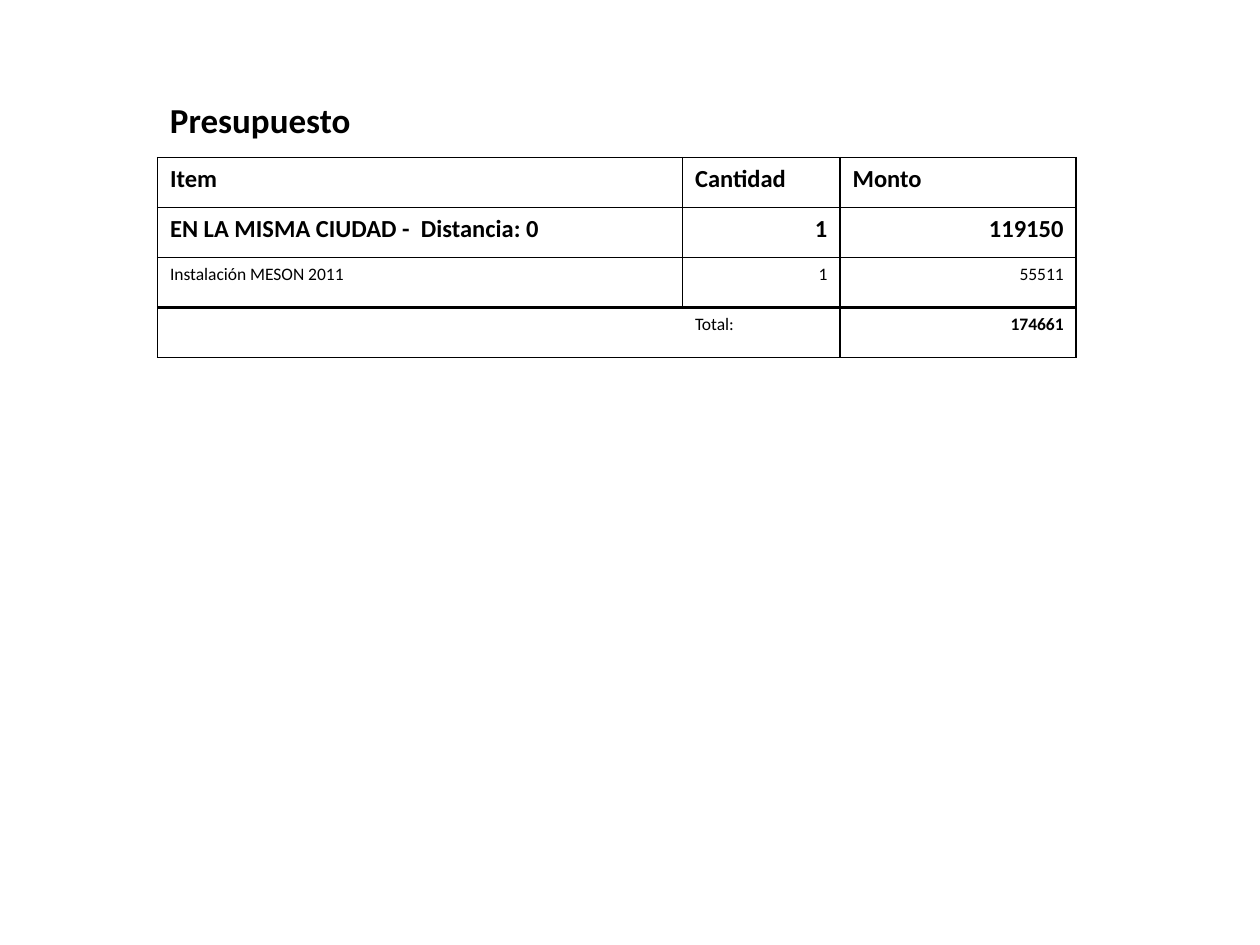
import pptx
import pptx.dml.color
import pptx.enum.text
import pptx.oxml
import pptx.oxml.ns
import pptx.util

Pt = pptx.util.Pt
RIGHT = pptx.enum.text.PP_ALIGN.RIGHT


def color(value):
    return pptx.dml.color.RGBColor.from_string(value)


class Deck:
    font = "Calibri"
    ink = "000000"
    paper = "FFFFFF"

    def __init__(self, prs):
        self.s = prs.slides.add_slide(prs.slide_layouts[6])

    def set_text(self, tf, text, size, bold, align=None):
        tf.text = text
        p = tf.paragraphs[0]
        p.alignment = align
        p.font.size = Pt(size)
        for r in p.runs:
            r.font.name = self.font
            r.font.size = Pt(size)
            r.font.bold = bold
            r.font.color.rgb = color(self.ink)

    def text(self, left, top, width, height, text, size, bold):
        tb = self.s.shapes.add_textbox(Pt(left), Pt(top), Pt(width), Pt(height))
        tb.text_frame.word_wrap = True
        self.set_text(tb.text_frame, text, size, bold)

    def border(self, cell, side, width):
        if width:
            fill = f'<a:solidFill><a:srgbClr val="{self.ink}"/></a:solidFill>'
        else:
            fill = "<a:noFill/>"
        ns = pptx.oxml.ns.nsdecls("a")
        xml = f'<a:ln{side} {ns} w="{Pt(width)}">{fill}</a:ln{side}>'
        cell._tc.get_or_add_tcPr().append(pptx.oxml.parse_xml(xml))

    def table(self, left, top, widths, row_height, rows):
        frame = self.s.shapes.add_table(
            len(rows), len(widths), Pt(left), Pt(top),
            Pt(sum(widths)), Pt(row_height * len(rows)))
        table = frame.table
        table.first_row = False
        table.horz_banding = False
        for column, width in zip(table.columns, widths):
            column.width = Pt(width)
        last = len(rows) - 1
        for i, row in enumerate(rows):
            table.rows[i].height = Pt(row_height)
            for j, (text, size, bold, align) in enumerate(row):
                cell = table.cell(i, j)
                self.set_text(cell.text_frame, text, size, bold, align)
                total = i == last
                self.border(cell, "L", 0 if total and j == 1 else 1)
                self.border(cell, "R", 0 if total and j == 0 else 1)
                self.border(cell, "T", 2 if total else 1)
                self.border(cell, "B", 2 if i == last - 1 else 1)
                if total:
                    cell.fill.background()
                else:
                    cell.fill.solid()
                    cell.fill.fore_color.rgb = color(self.paper)


def main():
    prs = pptx.Presentation()
    prs.slide_width = Pt(720)
    prs.slide_height = Pt(540)
    deck = Deck(prs)
    deck.text(90, 52.5, 450, 225, "Presupuesto", 20, True)
    budget = [
        [("Item", 14, True, None), ("Cantidad", 14, True, None),
         ("Monto", 14, True, None)],
        [("EN LA MISMA CIUDAD -  Distancia: 0", 14, True, None),
         ("1", 14, True, RIGHT), ("119150", 14, True, RIGHT)],
        [("Instalación MESON 2011", 10, False, None),
         ("1", 10, False, RIGHT), ("55511", 10, False, RIGHT)],
        [("", 10, False, None), ("Total:", 10, False, None),
         ("174661", 10, True, RIGHT)],
    ]
    deck.table(90, 90, [300, 90, 135], 28.6, budget)
    prs.save("out.pptx")


if __name__ == "__main__":
    main()
